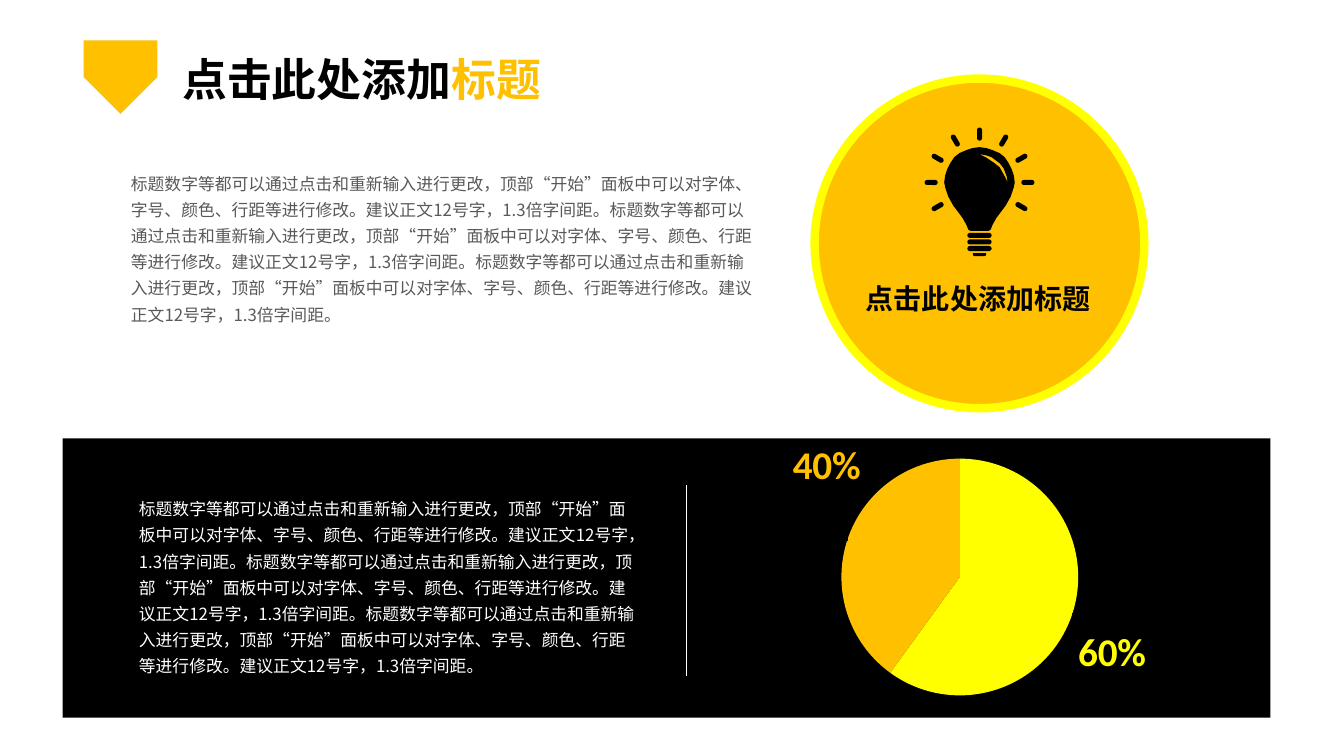
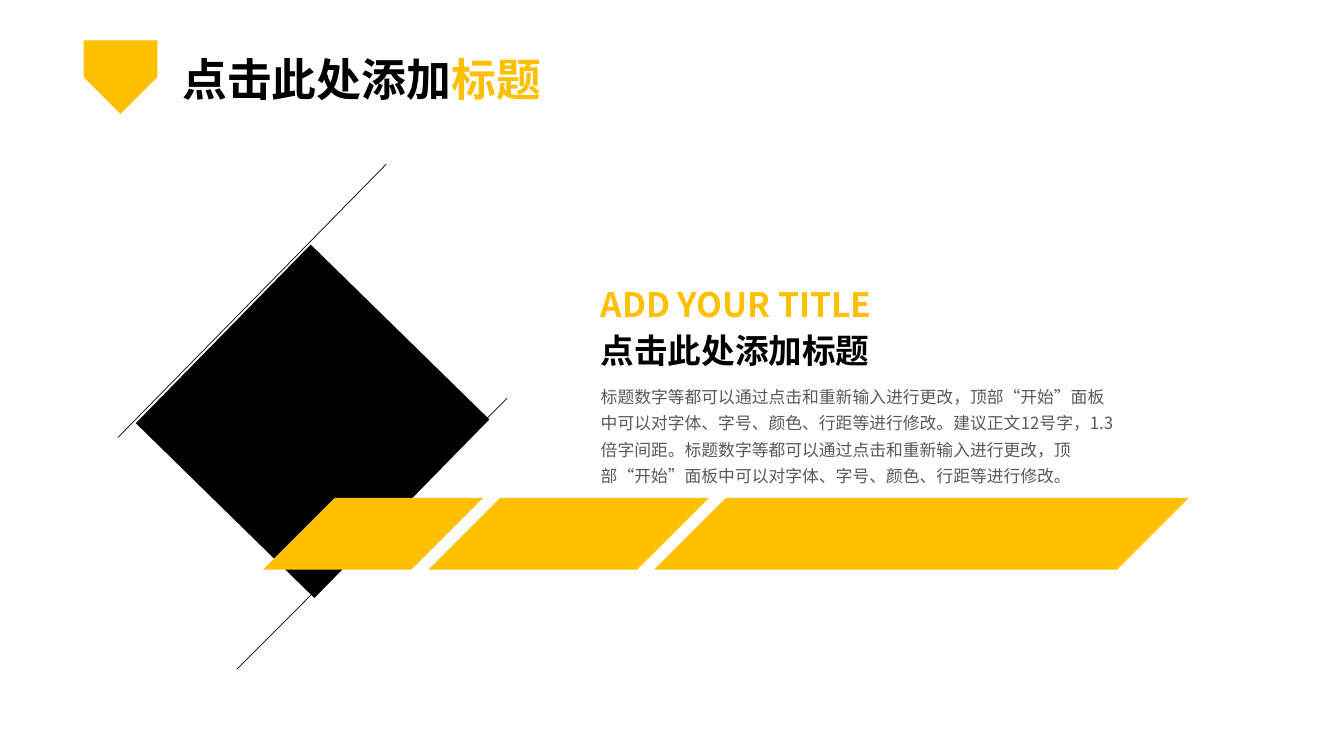
from dataclasses import dataclass
from math import cos, radians, sin

from lxml.etree import SubElement
from pptx import Presentation
from pptx.chart.data import CategoryChartData
from pptx.dml.color import RGBColor
from pptx.enum.chart import XL_CHART_TYPE as ChartType, XL_LABEL_POSITION as LabelPosition
from pptx.enum.shapes import MSO_CONNECTOR as Connector, MSO_SHAPE as Shape
from pptx.enum.text import MSO_AUTO_SIZE as AutoSize
from pptx.oxml import parse_xml
from pptx.oxml.ns import nsdecls, qn
from pptx.util import Inches, Pt


@dataclass(frozen=True)
class Theme:
    amber: str = "FFC000"
    yellow: str = "FFFF00"
    black: str = "000000"
    white: str = "FFFFFF"
    grey: str = "595959"
    font: str = "Noto Sans CJK SC"
    chart_font: str = "Calibri"
    title: int = 32
    share: int = 28
    heading: int = 24
    caption: int = 20
    body: int = 12
    body_spacing: float = 1.3
    hairline: float = 0.5
    ring: float = 6


THEME = Theme()

PROMPT = "点击此处添加"
HEADING = PROMPT + "标题"
ADVICE = "标题数字等都可以通过点击和重新输入进行更改，顶部“开始”面板中可以对字体、字号、颜色、行距等进行修改。"
SIZES = "建议正文12号字，1.3倍字间距。"

# Right half of the bulb, measured from the middle of its top
BULB_SIDE = [(0.07, 0.01), (0.13, 0.03), (0.2, 0.06), (0.25, 0.1), (0.29, 0.16),
             (0.32, 0.22), (0.34, 0.28), (0.35, 0.35), (0.34, 0.4), (0.31, 0.49),
             (0.26, 0.58), (0.17, 0.7), (0.13, 0.77), (0.11, 0.82), (0.09, 0.83)]
BULB_GLINT = [(0, 0.07), (0.06, 0.08), (0.12, 0.1), (0.16, 0.13), (0.2, 0.16),
              (0.24, 0.21), (0.27, 0.29), (0.28, 0.35), (0.25, 0.29), (0.2, 0.2),
              (0.15, 0.16), (0.06, 0.1), (0.02, 0.08)]


# Shared building parts
def rgb(color):
    return RGBColor.from_string(color)


def inches(*lengths):
    return [Inches(length) for length in lengths]


def paint(shape, color):
    shape.shadow.inherit = False
    shape.fill.solid()
    shape.fill.fore_color.rgb = rgb(color)
    shape.line.fill.background()


def add_block(slide, kind, box, color, adjust=(), rotation=0):
    block = slide.shapes.add_shape(kind, *inches(*box))
    paint(block, color)
    for index, value in enumerate(adjust):
        block.adjustments[index] = value
    block.rotation = rotation
    return block


def add_line(slide, start, end, color):
    line = slide.shapes.add_connector(Connector.STRAIGHT, *inches(*start, *end))
    line.line.color.rgb = rgb(color)
    line.line.width = Pt(THEME.hairline)
    SubElement(line._element.spPr, qn("a:effectLst"))


def add_text(slide, box, parts, size, bold=False, spacing=None):
    """Place one paragraph made of (text, color) parts."""
    frame = slide.shapes.add_textbox(*inches(*box)).text_frame
    frame.word_wrap = True
    frame.auto_size = AutoSize.SHAPE_TO_FIT_TEXT if bold else AutoSize.NONE
    paragraph = frame.paragraphs[0]
    if spacing:
        paragraph.line_spacing = spacing
    for text, color in parts:
        run = paragraph.add_run()
        run.text = text
        run.font.size = Pt(size)
        run.font.bold = bold
        run.font.color.rgb = rgb(color)
        run.font.name = THEME.font
        SubElement(run._r.get_or_add_rPr(), qn("a:ea")).set("typeface", THEME.font)


def add_body(slide, box, text, color):
    add_text(slide, box, [(text, color)], THEME.body, spacing=THEME.body_spacing)


def add_title(slide, left, top):
    add_block(slide, Shape.SNIP_2_SAME_RECTANGLE, (left, top, 0.73, 0.73),
              THEME.amber, adjust=(0.5, 0), rotation=180)
    add_text(slide, (left + 0.88, top + 0.06, 4.31, 0.64),
             [(PROMPT, THEME.black), ("标题", THEME.amber)], THEME.title, bold=True)


# Light bulb and its circle
def add_bulb(slide, center, top):
    def contour(points):
        return [tuple(inches(center + x, top + y)) for x, y in points]

    # Glass with a cut-out glint
    mirrored = [(-x, y) for x, y in reversed(BULB_SIDE)]
    glass = contour([(0, 0)] + BULB_SIDE + mirrored)
    glint = contour(BULB_GLINT)
    builder = slide.shapes.build_freeform(*glass[0])
    builder.add_line_segments(glass[1:], close=True)
    builder.move_to(*glint[0])
    builder.add_line_segments(glint[1:], close=True)
    paint(builder.convert_to_shape(), THEME.black)

    # Socket
    for row in range(3):
        add_block(slide, Shape.ROUNDED_RECTANGLE,
                  (center - 0.12, top + 0.85 + row * 0.065, 0.24, 0.05),
                  THEME.black, adjust=(0.5,))
    add_block(slide, Shape.ROUND_2_SAME_RECTANGLE, (center - 0.065, top + 1.05, 0.13, 0.03),
              THEME.black, adjust=(0.5, 0), rotation=180)

    # Rays
    radius, length, width = 0.48, 0.13, 0.05
    for angle in range(-210, 31, 30):
        x = center + radius * cos(radians(angle))
        y = top + 0.35 + radius * sin(radians(angle))
        add_block(slide, Shape.ROUNDED_RECTANGLE,
                  (x - length / 2, y - width / 2, length, width),
                  THEME.black, adjust=(0.5,), rotation=angle)


def add_idea_circle(slide, left, top, size):
    circle = add_block(slide, Shape.OVAL, (left, top, size, size), THEME.amber)
    circle.line.color.rgb = rgb(THEME.yellow)
    circle.line.width = Pt(THEME.ring)
    add_bulb(slide, left + size / 2, top + 0.68)
    add_text(slide, (left + 0.41, top + 1.96, 2.43, 0.44),
             [(HEADING, THEME.black)], THEME.caption, bold=True)


# Share chart
def manual_layout(inner=False, **values):
    target = '<c:layoutTarget val="inner"/>' if inner else ""
    modes = '<c:xMode val="edge"/><c:yMode val="edge"/>' if inner else ""
    numbers = "".join(f'<c:{key} val="{value}"/>' for key, value in values.items())
    return parse_xml(f'<c:layout {nsdecls("c")}><c:manualLayout>{target}{modes}{numbers}'
                     "</c:manualLayout></c:layout>")


def add_share_pie(slide, box):
    shares = CategoryChartData(number_format="0%")
    shares.categories = ["1", "2"]
    shares.add_series("Series 1", (0.6, 0.4))
    chart = slide.shapes.add_chart(ChartType.PIE, *inches(*box), shares).chart
    chart.has_legend = False
    chart.has_title = False
    chart.font.name = THEME.chart_font
    chart.font.size = Pt(18)
    chart.font.color.rgb = rgb(THEME.black)

    # Transparent background and fixed pie size
    space = chart._chartSpace
    space.find(qn("c:chart")).addnext(parse_xml(
        f'<c:spPr {nsdecls("c", "a")}><a:noFill/><a:ln><a:noFill/></a:ln></c:spPr>'))
    area = space.find(qn("c:chart")).find(qn("c:plotArea"))
    for layout in area.findall(qn("c:layout")):
        area.remove(layout)
    diameter = 2.35
    width, height = diameter / box[2], diameter / box[3]
    area.insert(0, manual_layout(True, x=round((1 - width) / 2, 3), y=round((1 - height) / 2, 3),
                                 w=round(width, 3), h=round(height, 3)))

    # Slices and their labels, each with its shift from the pie's edge
    series = chart.plots[0].series[0]
    slices = [(THEME.yellow, 0, 0.05), (THEME.amber, 0.04, -0.17)]
    for index, (color, shift_x, shift_y) in enumerate(slices):
        point = series.points[index]
        point.format.fill.solid()
        point.format.fill.fore_color.rgb = rgb(color)
        point.format.line.fill.background()
        label = point.data_label
        label.font.name = THEME.chart_font
        label.font.size = Pt(THEME.share)
        label.font.bold = True
        label.font.color.rgb = rgb(color)
        label.position = LabelPosition.OUTSIDE_END
        label._dLbl.find(qn("c:idx")).addnext(manual_layout(x=shift_x, y=shift_y))
    series.data_labels.show_value = True
    series.data_labels.number_format = "0%"
    series.data_labels.number_format_is_linked = False


def add_share_panel(slide, left, top, width, height):
    add_block(slide, Shape.RECTANGLE, (left, top, width, height), THEME.black)
    add_body(slide, (left + 0.66, top + 0.49, 5.17, 1.15), (ADVICE + SIZES) * 3, THEME.white)
    divider = left + 6.19
    add_line(slide, (divider, top + 0.46), (divider, top + 2.36), THEME.white)
    add_share_pie(slide, (left + 6.54, top - 0.03, 4.72, 2.81))


# Diamond, bars and copy of the second slide
def add_diamond(slide, left, top, size):
    add_block(slide, Shape.RECTANGLE, (left, top, size, size), THEME.black, rotation=44.4)
    add_line(slide, (left + 0.49, top + 3.7), (left + 3.17, top + 1.01), THEME.black)
    add_line(slide, (left - 0.69, top + 1.4), (left + 1.97, top - 1.31), THEME.black)


def add_slanted_bars(slide, left, top, height):
    overlap = 0.54
    for width in (2.18, 2.78, 5.3):
        add_block(slide, Shape.PARALLELOGRAM, (left, top, width, height),
                  THEME.amber, adjust=(1,))
        left += width - overlap


def add_copy(slide, left, top):
    headings = [("ADD YOUR TITLE", THEME.amber), (HEADING, THEME.black)]
    for row, heading in enumerate(headings):
        add_text(slide, (left, top + row * 0.45, 4.31, 0.5), [heading],
                 THEME.heading, bold=True)
    add_body(slide, (left, top + 0.96, 5.35, 1.57), ADVICE + SIZES + ADVICE, THEME.grey)


# Slides
def new_slide(deck):
    slide = deck.slides.add_slide(deck.slide_layouts[6])
    add_title(slide, 0.83, 0.4)
    return slide


def build_share_slide(deck):
    slide = new_slide(deck)
    add_share_panel(slide, 0.62, 4.35, 11.98, 2.77)
    add_idea_circle(slide, 8.08, 0.78, 3.27)
    add_body(slide, (1.2, 1.61, 6.39, 1.15), (ADVICE + SIZES) * 3, THEME.grey)


def build_diamond_slide(deck):
    slide = new_slide(deck)
    add_diamond(slide, 1.86, 2.94, 2.48)
    add_slanted_bars(slide, 2.61, 4.94, 0.71)
    add_copy(slide, 5.86, 2.77)


def main():
    deck = Presentation()
    deck.slide_width, deck.slide_height = inches(13.33, 7.5)
    build_share_slide(deck)
    build_diamond_slide(deck)
    deck.save("out.pptx")


if __name__ == "__main__":
    main()
